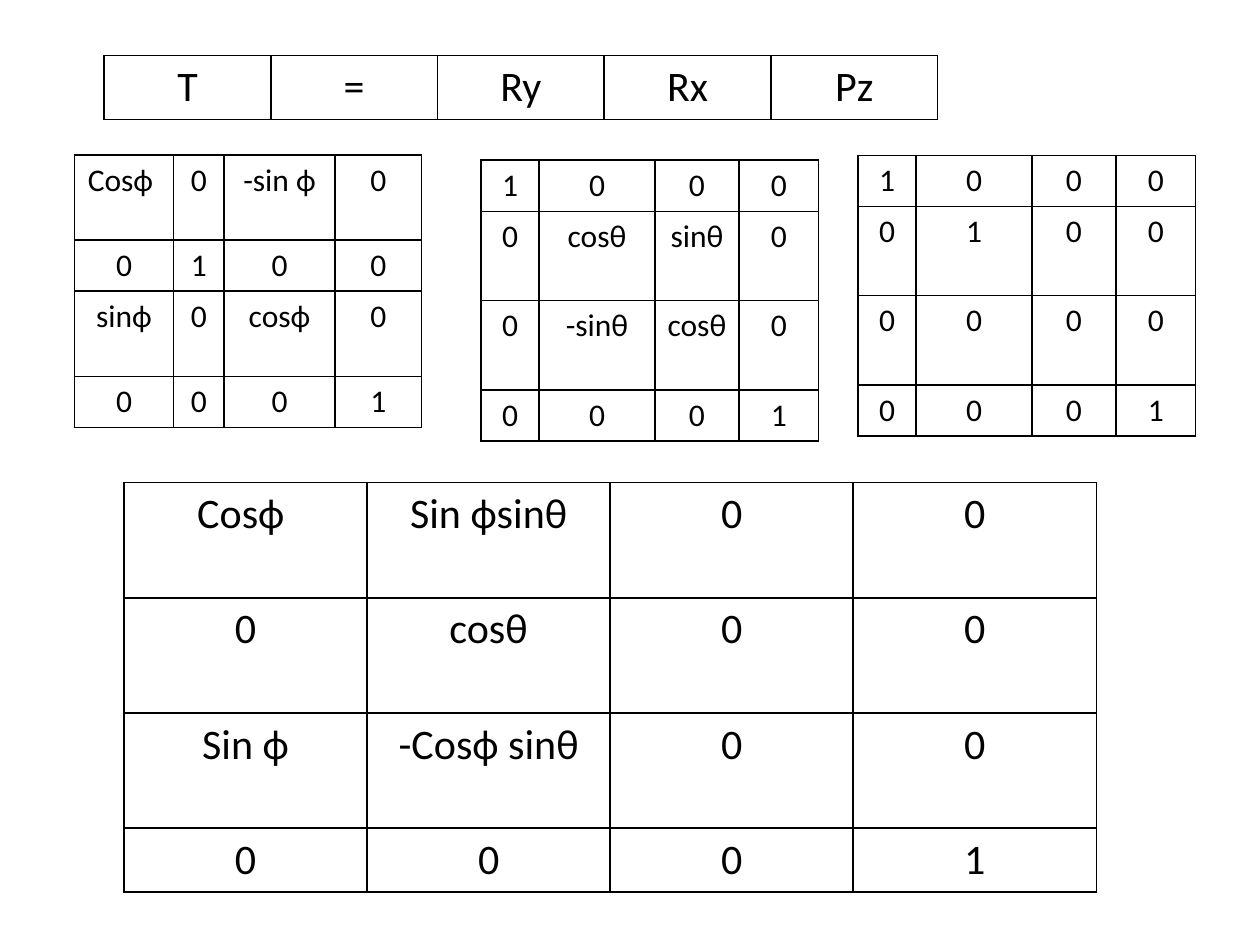
import lxml.etree
import pptx
import pptx.dml.color
import pptx.enum.text
import pptx.oxml.ns
import pptx.util

Cm = pptx.util.Cm
Pt = pptx.util.Pt

THEME = {
    "font": "Calibri",
    "ink": "000000",
    "paper": "FFFFFF",
    "large": 24,
    "small": 18,
    "border": 1,
    "margin": 0.2,
}

# Positions, column widths and row heights are in centimetres.
ROW_LARGE, ROW_SMALL = 1.28, 1.03
AXIS_COLUMNS = [1.17, 2.33, 1.7, 1.6]
AXIS_ROWS = [ROW_SMALL, 1.8, 1.8, ROW_SMALL]

EQUATION = {
    "at": (2.1, 1.12), "size": "large",
    "columns": [3.36] * 5, "rows": [ROW_LARGE],
    "cells": [["T", "=", "Ry", "Rx", "Pz"]],
}
RY_MATRIX = {
    "at": (1.5, 3.12), "size": "small",
    "columns": [2.0, 1.02, 2.23, 1.75],
    "rows": [1.72, ROW_SMALL, 1.72, ROW_SMALL],
    "cells": [
        ["Cosф ", "0", "-sin ф", "0"],
        ["0", "1", "0", "0"],
        ["sinф", "0", "cosф", "0"],
        ["0", "0", "0", "1"],
    ],
}
RX_MATRIX = {
    "at": (9.7, 3.23), "size": "small",
    "columns": AXIS_COLUMNS, "rows": AXIS_ROWS,
    "cells": [
        ["1", "0", "0", "0"],
        ["0", "cosθ", "sinθ", "0"],
        ["0", "-sinθ", "cosθ", "0"],
        ["0", "0", "0", "1"],
    ],
}
PZ_MATRIX = {
    "at": (17.3, 3.13), "size": "small",
    "columns": AXIS_COLUMNS, "rows": AXIS_ROWS,
    "cells": [
        ["1", "0", "0", "0"],
        ["0", "1", "0", "0"],
        ["0", "0", "0", "0"],
        ["0", "0", "0", "1"],
    ],
}
PRODUCT_MATRIX = {
    "at": (2.5, 9.73), "size": "large",
    "columns": [4.9] * 4, "rows": [2.32] * 3 + [ROW_LARGE],
    "cells": [
        ["Cosф ", "Sin фsinθ", "0", "0"],
        ["0", "cosθ", "0", "0"],
        ["Sin ф", "-Cosф sinθ", "0", "0"],
        ["0", "0", "0", "1"],
    ],
}
MATRICES = [EQUATION, RY_MATRIX, RX_MATRIX, PZ_MATRIX, PRODUCT_MATRIX]


def color(key):
    return pptx.dml.color.RGBColor.from_string(THEME[key])


def add_borders(cell):
    """Draw all four sides; the lines must come before the fill in the XML."""
    qn = pptx.oxml.ns.qn
    properties = cell._tc.get_or_add_tcPr()
    for index, side in enumerate(("a:lnL", "a:lnR", "a:lnT", "a:lnB")):
        line = lxml.etree.Element(qn(side), w=str(Pt(THEME["border"])))
        fill = lxml.etree.SubElement(line, qn("a:solidFill"))
        lxml.etree.SubElement(fill, qn("a:srgbClr"), val=THEME["ink"])
        properties.insert(index, line)


def fill_cell(cell, text, size):
    cell.fill.solid()
    cell.fill.fore_color.rgb = color("paper")
    cell.margin_left = cell.margin_right = Cm(THEME["margin"])
    add_borders(cell)
    para = cell.text_frame.paragraphs[0]
    para.text = text
    para.alignment = pptx.enum.text.PP_ALIGN.CENTER
    for span in para.runs:
        span.font.name = THEME["font"]
        span.font.size = Pt(THEME[size])
        span.font.color.rgb = color("ink")


def add_matrix(page, matrix):
    columns, rows = matrix["columns"], matrix["rows"]
    left, top = matrix["at"]
    table = page.shapes.add_table(
        len(rows), len(columns),
        Cm(left), Cm(top), Cm(sum(columns)), Cm(sum(rows))).table
    table.first_row = table.horz_banding = False
    for column, width in zip(table.columns, columns):
        column.width = Cm(width)
    for row, height, texts in zip(table.rows, rows, matrix["cells"]):
        row.height = Cm(height)
        for cell, text in zip(row.cells, texts):
            fill_cell(cell, text, matrix["size"])


def main():
    deck = pptx.Presentation()
    deck.slide_width, deck.slide_height = Cm(25.4), Cm(19.05)
    page = deck.slides.add_slide(deck.slide_layouts[6])
    for matrix in MATRICES:
        add_matrix(page, matrix)
    deck.save("out.pptx")


if __name__ == "__main__":
    main()
